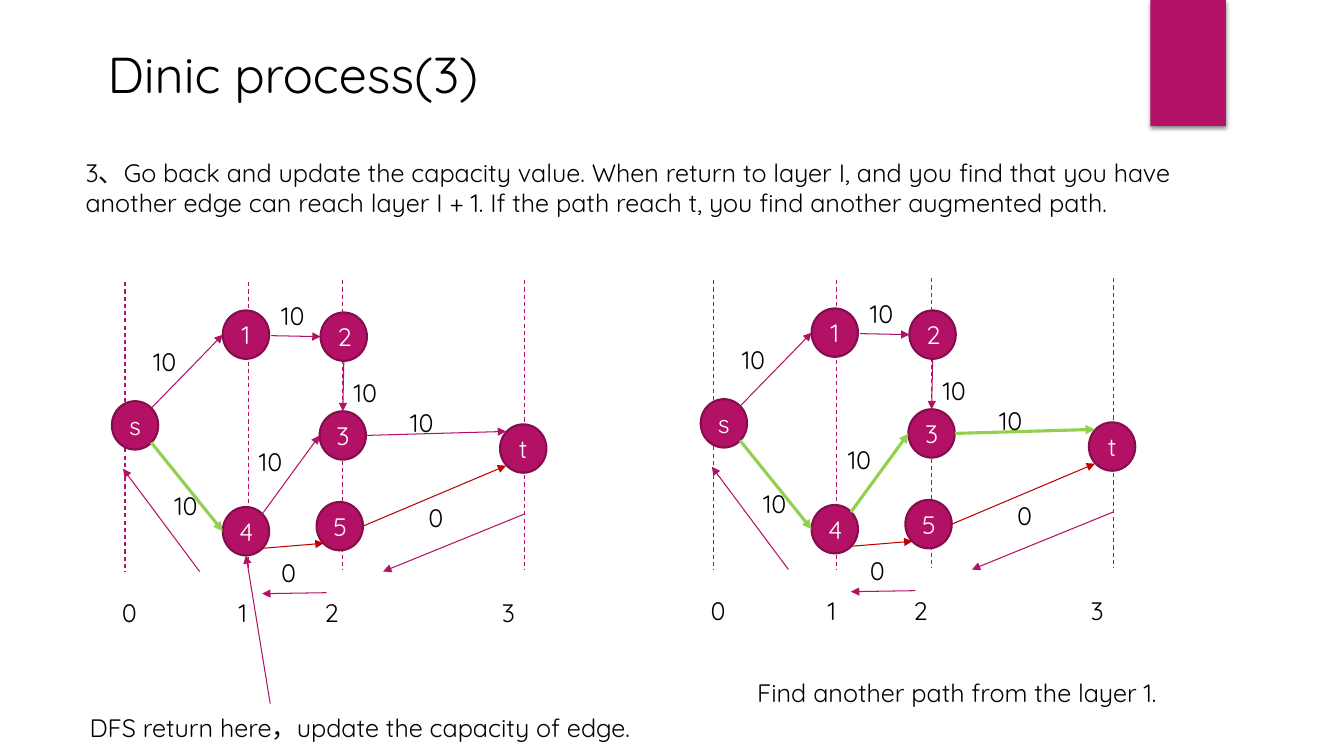
"""Build the slide 'Dinic process(3)': two layered flow networks side by side."""
from lxml import etree
from pptx import Presentation
from pptx.dml.color import RGBColor
from pptx.enum.dml import MSO_LINE
from pptx.enum.shapes import MSO_CONNECTOR, MSO_SHAPE
from pptx.enum.text import MSO_ANCHOR, PP_ALIGN
from pptx.oxml.ns import qn
from pptx.util import Pt

PX = 9144
SLIDE_WIDTH, SLIDE_HEIGHT = 1333, 750
FONT = "Quicksand"
MAGENTA = RGBColor(0xB3, 0x11, 0x66)
PLUM = RGBColor(0x84, 0x0D, 0x4B)
GREEN = RGBColor(0x92, 0xD0, 0x50)
RED = RGBColor(0xC0, 0x00, 0x00)
BLACK = RGBColor(0, 0, 0)
WHITE = RGBColor(0xFF, 0xFF, 0xFF)
STRAIGHT, OVAL, RECTANGLE = MSO_CONNECTOR.STRAIGHT, MSO_SHAPE.OVAL, MSO_SHAPE.RECTANGLE
DASH = MSO_LINE.DASH
MIDDLE, TOP = MSO_ANCHOR.MIDDLE, MSO_ANCHOR.TOP
CENTER, LEFT = PP_ALIGN.CENTER, PP_ALIGN.LEFT

TITLE = ("Dinic process(3)", (97, 34, 958, 77))
CAPTIONS = [
    ("3、Go back and update the capacity value. When return to layer I, and you find "
     "that you have another edge can reach layer I + 1. If the path reach t, you find "
     "another augmented path.", (75, 151, 1183, 71)),
    ("DFS return here，update the capacity of edge.", (79, 702, 608, 40)),
    ("Find another path from the layer 1.", (741, 667, 445, 40)),
]
RIBBON = (1141, 0, 75, 125)
RETURN_POINTER = (268, 698, 244, 551)

NODE_WIDTH, NODE_HEIGHT = 46, 48
NODES = {"s": (111, 398), "1": (221, 308), "2": (318, 310), "4": (221, 503),
         "3": (317, 408), "5": (314, 498), "t": (496, 421)}
EDGES = {
    "s1": (150, 405, 221, 332), "23": (341, 359, 340, 408),
    "3t": (363, 432, 502, 428), "5t": (360, 522, 502, 462),
    "s4": (150, 439, 221, 527), "12": (269, 333, 318, 334),
    "45": (260, 544, 321, 539), "43": (260, 510, 317, 432),
}
SATURATED = {"5t", "45"}
CAPACITIES = [("10", 163, 482, 48), ("0", 269, 548, 34), ("0", 415, 493, 34),
              ("10", 341, 369, 68), ("10", 397, 399, 48), ("10", 247, 438, 48),
              ("10", 269, 293, 48), ("10", 142, 339, 56)]
LABEL_HEIGHT = 40
LAYERS = [(124, 280), (246, 280), (340, 278), (520, 278)]
LAYER_HEIGHT = 287
LAYER_NUMBERS = ("0\t1\t2\t3", (111, 588, 427, 40))
LAYER_TABS = [116, 201, 377]
RETURN_ARROWS = [(520, 510, 380, 567), (324, 588, 260, 589), (198, 567, 122, 465)]
GRAPHS = [((0, 0), {"s4"}), ((584, -2), {"s4", "43", "3t"})]


def scaled(box):
    return [value * PX for value in box]


def shifted(box, offset):
    return [value + offset[index % 2] for index, value in enumerate(box)]


def write(shape, text, color=BLACK, size=18, align=LEFT, anchor=TOP, tabs=()):
    frame = shape.text_frame
    frame.word_wrap = True
    frame.vertical_anchor = anchor
    paragraph = frame.paragraphs[0]
    paragraph.alignment = align
    if tabs:
        tab_list = etree.SubElement(paragraph._p.get_or_add_pPr(), qn("a:tabLst"))
        for position in tabs:
            etree.SubElement(tab_list, qn("a:tab"), pos=str(position * PX), algn="l")
    run = paragraph.add_run()
    run.text = text
    for name, value in {"name": FONT, "size": Pt(size)}.items():
        setattr(run.font, name, value)
    run.font.color.rgb = color


def add_text(slide, text, box, **format_values):
    write(slide.shapes.add_textbox(*scaled(box)), text, **format_values)


def add_line(slide, points, color=MAGENTA, width=0.75, arrow=True):
    connector = slide.shapes.add_connector(STRAIGHT, *scaled(points))
    connector.line.color.rgb = color
    connector.line.width = Pt(width)
    if arrow:
        etree.SubElement(connector.line._get_or_add_ln(), qn("a:tailEnd"), type="triangle")
    else:
        connector.line.dash_style = DASH
    etree.SubElement(connector._element.spPr, qn("a:effectLst"))


def add_node(slide, name, position):
    box = (*position, NODE_WIDTH, NODE_HEIGHT)
    shape = slide.shapes.add_shape(OVAL, *scaled(box))
    shape.shadow.inherit = False
    shape.fill.solid()
    shape.fill.fore_color.rgb = MAGENTA
    shape.line.color.rgb = PLUM
    shape.line.width = Pt(1.5)
    write(shape, name, color=WHITE, align=CENTER, anchor=MIDDLE)


def add_ribbon(slide):
    shape = slide.shapes.add_shape(RECTANGLE, *scaled(RIBBON))
    shape.shadow.inherit = False
    shape.fill.solid()
    shape.fill.fore_color.rgb = MAGENTA
    shape.line.fill.background()
    effects = shape._element.spPr.find(qn("a:effectLst"))
    shadow = etree.SubElement(effects, qn("a:outerShdw"), blurRad=str(Pt(3)),
                              dist=str(Pt(2)), dir="5400000", rotWithShape="0")
    color = etree.SubElement(shadow, qn("a:srgbClr"), val=str(BLACK))
    etree.SubElement(color, qn("a:alpha"), val="45000")


def add_graph(slide, offset, path):
    for left, top in LAYERS:
        points = (left, top, left, top + LAYER_HEIGHT)
        add_line(slide, shifted(points, offset), arrow=False)
    for name, position in NODES.items():
        add_node(slide, name, shifted(position, offset))
    for name, points in EDGES.items():
        color = GREEN if name in path else RED if name in SATURATED else MAGENTA
        add_line(slide, shifted(points, offset), color, 2.25 if name in path else 0.75)
    for text, left, top, width in CAPACITIES:
        add_text(slide, text, (*shifted((left, top), offset), width, LABEL_HEIGHT))
    text, (left, top, width, height) = LAYER_NUMBERS
    add_text(slide, text, (*shifted((left, top), offset), width, height), tabs=LAYER_TABS)
    for points in RETURN_ARROWS:
        add_line(slide, shifted(points, offset))


def main():
    presentation = Presentation()
    presentation.slide_width = SLIDE_WIDTH * PX
    presentation.slide_height = SLIDE_HEIGHT * PX
    slide = presentation.slides.add_slide(presentation.slide_layouts[6])
    add_ribbon(slide)
    for offset, path in GRAPHS:
        add_graph(slide, offset, path)
    add_line(slide, RETURN_POINTER)
    for text, box in CAPTIONS:
        add_text(slide, text, box)
    add_text(slide, *TITLE, size=36, anchor=MIDDLE)
    presentation.save("out.pptx")


if __name__ == "__main__":
    main()
